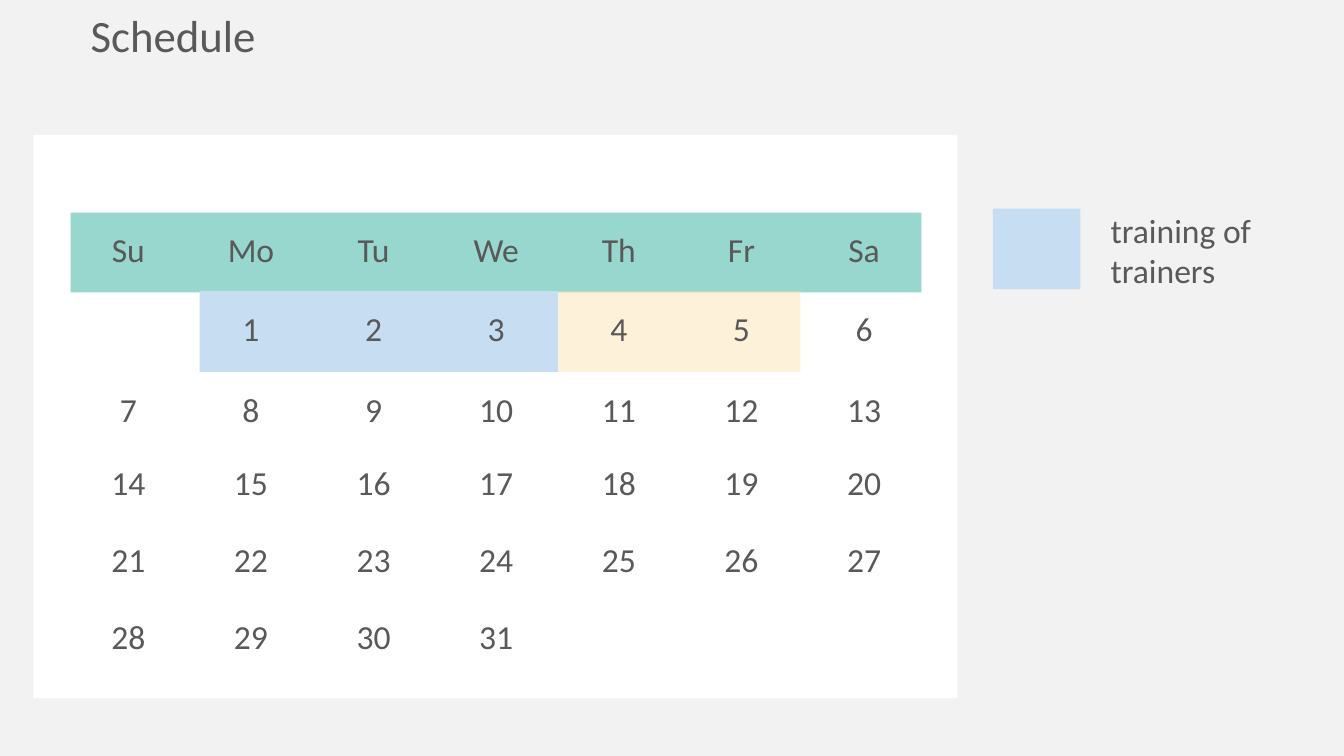
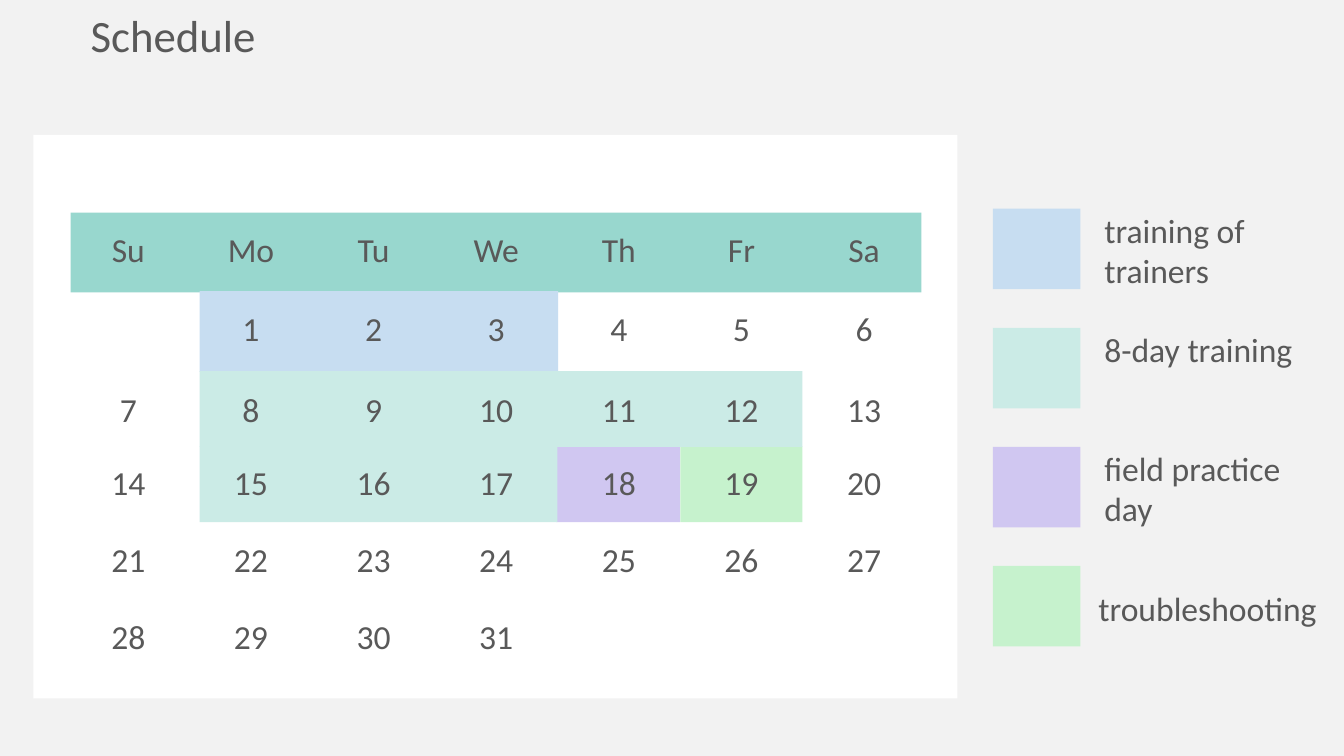
from dataclasses import dataclass
from itertools import chain

from lxml import etree
from pptx import Presentation
from pptx import util as u
from pptx.dml.color import RGBColor
from pptx.enum import shapes, text
from pptx.oxml import ns

Cm = u.Cm


@dataclass(frozen=True)
class Theme:
    font: str = "Calibri"
    title_size: int = 32
    body_size: int = 24
    ink: str = "595959"
    background: str = "F2F2F2"
    card: str = "FFFFFF"
    header: str = "98D7CE"
    trainers: str = "C7DDF1"
    follow_up: str = "FDDEA3"
    eight_day: str = "CBEBE6"
    field_day: str = "D0C7F1"
    troubleshooting: str = "C6F2CD"


THEME = Theme()

# Calendar content and grid (cm)
WEEKDAYS = ["Su", "Mo", "Tu", "We", "Th", "Fr", "Sa"]
FIRST_WEEKDAY, LAST_DAY = 1, 31
GRID_LEFT, GRID_TOP, COLUMN_WIDTH = 1.69, 5.31, 3.09
ROW_HEIGHTS = [2.03, 1.98, 2.08, 1.6, 2.3, 1.55]

# Legend rhythm (cm)
SWATCH_LEFT, LEGEND_TOP, LEGEND_PITCH = 25.02, 5.26, 3.0
SWATCH_WIDTH, SWATCH_HEIGHT = 2.21, 2.03
LABEL_RISE, LABEL_HEIGHT = 0.1, 2.31
NO_GRID_STYLE = "{2D5ABB26-0587-4C30-8999-92F81FD0307C}"


class Deck:
    def __init__(self, theme):
        self.theme = theme
        self.prs = Presentation()
        self.prs.slide_width, self.prs.slide_height = Cm(33.87), Cm(19.05)
        fill = self.prs.slide_master.background.fill
        fill.solid()
        fill.fore_color.rgb = RGBColor.from_string(theme.background)
        self.slide = None

    def style(self, frame, size, align=text.PP_ALIGN.LEFT):
        for paragraph in frame.paragraphs:
            paragraph.alignment = align
            for run in paragraph.runs:
                run.font.name = self.theme.font
                run.font.size = u.Pt(size)
                run.font.color.rgb = RGBColor.from_string(self.theme.ink)

    def new_slide(self, heading):
        self.slide = self.prs.slides.add_slide(self.prs.slide_layouts[5])
        title = self.slide.shapes.title
        title.left, title.top, title.width, title.height = (
            Cm(2.03), Cm(0.05), Cm(27.84), Cm(1.63))
        title.text_frame.text = heading
        title.text_frame.auto_size = text.MSO_AUTO_SIZE.NONE
        self.style(title.text_frame, self.theme.title_size)

    def block(self, left, top, width, height, colour, opacity=100):
        block = self.slide.shapes.add_shape(
            shapes.MSO_SHAPE.RECTANGLE, Cm(left), Cm(top), Cm(width), Cm(height))
        block.shadow.inherit = False
        block.line.fill.background()
        block.fill.solid()
        block.fill.fore_color.rgb = RGBColor.from_string(colour)
        if opacity < 100:
            rgb = block.fill._xPr.find(".//" + ns.qn("a:srgbClr"))
            etree.SubElement(rgb, ns.qn("a:alpha"), val=str(opacity * 1000))

    def calendar(self):
        days = [""] * FIRST_WEEKDAY + [str(day) for day in range(1, LAST_DAY + 1)]
        entries = list(chain(WEEKDAYS, days))
        columns = len(WEEKDAYS)
        frame = self.slide.shapes.add_table(
            len(ROW_HEIGHTS), columns, Cm(GRID_LEFT), Cm(GRID_TOP),
            Cm(COLUMN_WIDTH * columns), Cm(sum(ROW_HEIGHTS)))
        month = frame.table
        month.first_row = month.horz_banding = False
        month._tbl.tblPr.find(ns.qn("a:tableStyleId")).text = NO_GRID_STYLE
        for column in month.columns:
            column.width = Cm(COLUMN_WIDTH)
        for row, height in zip(month.rows, ROW_HEIGHTS):
            row.height = Cm(height)
        for cell in month.iter_cells():
            cell.fill.background()
            cell.margin_top = cell.margin_bottom = 0
            cell.vertical_anchor = text.MSO_ANCHOR.MIDDLE
        for cell, entry in zip(month.iter_cells(), entries):
            cell.text_frame.text = entry
            self.style(cell.text_frame, self.theme.body_size, text.PP_ALIGN.CENTER)

    def legend_entry(self, index, label, colour, left, width=5.66,
                     anchor=text.MSO_ANCHOR.TOP):
        top = LEGEND_TOP + index * LEGEND_PITCH
        self.block(SWATCH_LEFT, top, SWATCH_WIDTH, SWATCH_HEIGHT, colour)
        box = self.slide.shapes.add_textbox(
            Cm(left), Cm(top - LABEL_RISE), Cm(width), Cm(LABEL_HEIGHT))
        frame = box.text_frame
        frame.word_wrap = True
        frame.vertical_anchor = anchor
        frame.text = label
        self.style(frame, self.theme.body_size)

    def schedule(self, highlights, legend):
        self.new_slide("Schedule")
        # Card, weekday band and the days all months share
        self.block(0.84, 3.4, 23.29, 14.2, self.theme.card)
        self.block(1.78, 5.36, 21.44, 2.01, self.theme.header)
        self.block(5.03, 7.34, 9.04, 2.03, self.theme.trainers)
        # Highlighted days lie under the numbers
        for highlight in highlights:
            self.block(*highlight)
        self.calendar()
        for index, entry in enumerate(legend):
            self.legend_entry(index, *entry)


def main():
    deck = Deck(THEME)

    # Training of trainers
    deck.schedule(
        highlights=[(14.07, 7.34, 6.1, 2.03, THEME.follow_up, 40)],
        legend=[("training of trainers", THEME.trainers, 27.74)])

    # Full training plan
    deck.schedule(
        highlights=[
            (14.02, 11.25, 3.12, 1.91, THEME.field_day),
            (17.15, 11.25, 3.07, 1.91, THEME.troubleshooting),
            (5.03, 9.35, 15.19, 1.91, THEME.eight_day),
            (5.03, 11.25, 9.02, 1.91, THEME.eight_day)],
        legend=[
            ("training of trainers", THEME.trainers, 27.58),
            ("8-day training", THEME.eight_day, 27.58),
            ("field practice day", THEME.field_day, 27.58),
            ("troubleshooting", THEME.troubleshooting, 27.43, 6.35,
             text.MSO_ANCHOR.MIDDLE)])

    deck.prs.save("out.pptx")


if __name__ == "__main__":
    main()
